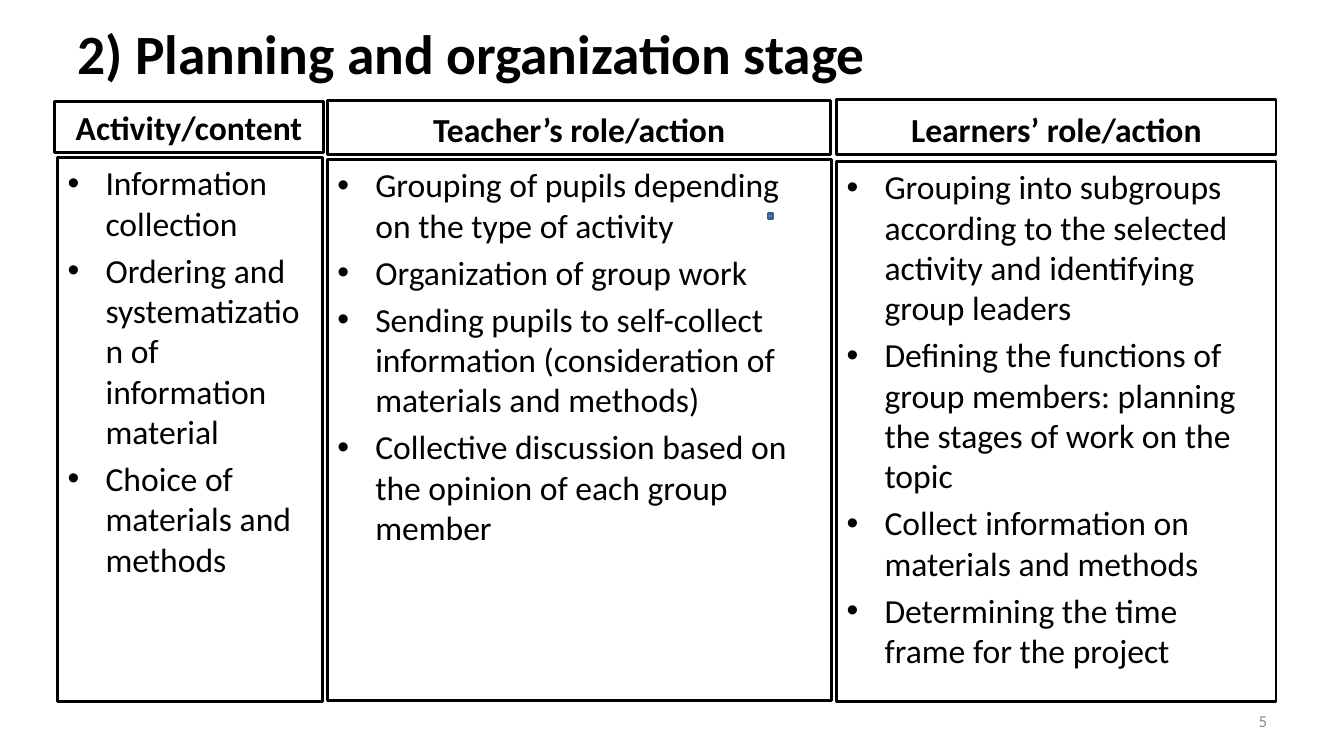
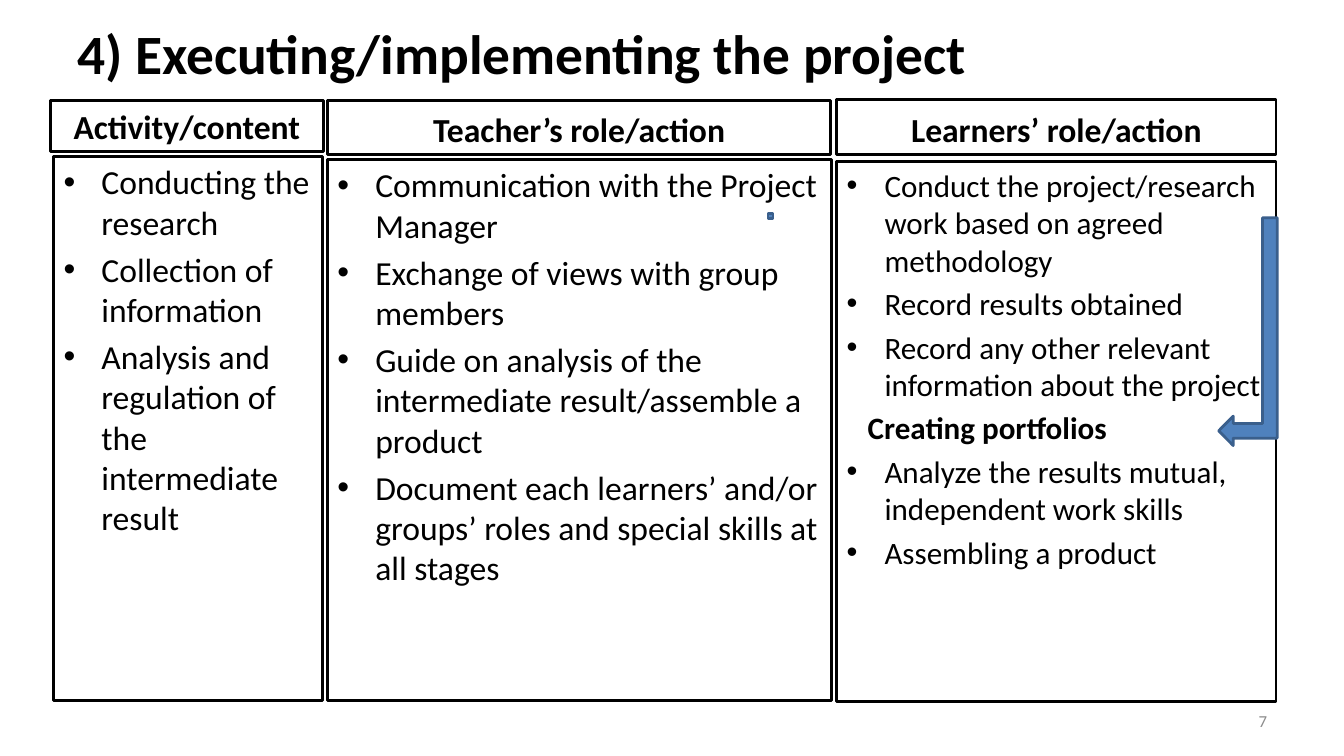
from dataclasses import dataclass

import pptx
import pptx.dml.color
import pptx.enum.shapes
import pptx.enum.text
import pptx.oxml
import pptx.oxml.ns
import pptx.util

Pt = pptx.util.Pt
RGB = pptx.dml.color.RGBColor.from_string
SHAPE = pptx.enum.shapes.MSO_SHAPE
ALIGN = pptx.enum.text.PP_ALIGN
ANCHOR = pptx.enum.text.MSO_ANCHOR


@dataclass(frozen=True)
class Theme:
    font: str = "Calibri"
    black: str = "000000"
    white: str = "FFFFFF"
    gray: str = "8C8C8C"
    accent: str = "4F81BD"
    accent_line: str = "3A5F8C"
    title: float = 39.6
    text: float = 24
    compact: float = 22.2
    number: float = 12
    line: float = 2
    indent: float = 27
    subhead_indent: float = 15


@dataclass(frozen=True)
class Subhead:
    text: str


@dataclass(frozen=True)
class Column:
    """Heading, its placeholder indexes (if any), and both boxes as (x, y, w, h)."""
    heading: str
    placeholders: tuple
    head_box: tuple
    list_box: tuple


THEME = Theme()
SLIDE_SIZE = (960, 540)
TITLE_BOX = (48, 9.4, 864, 56.2)
NUMBER_BOX = (688.3, 500.4, 223.9, 28.8)
MARKER_BOX = (548.6, 152.6, 3.6, 3.6)
ARROW_BOX = (810, 216, 162.7, 41.8)
FIRST_RIGHT = 231

TEACHER = Column("Teacher’s role/action", (None, None),
                 (234, 72, 359.5, 38.2), (234, 113.8, 360, 386.6))
LEARNERS = Column("Learners’ role/action", (3, 4),
                  (597.6, 71.3, 313.9, 38.9), (597.6, 115.2, 313.9, 385.9))

STAGES = [
    {
        "title": "2) Planning and organization stage",
        "number": "5",
        "corner": (39, 72.7),
        "lists": [
            ["Information collection",
             "Ordering and systematization of information material",
             "Choice of materials and methods"],
            ["Grouping of pupils depending on the type of activity",
             "Organization of group work",
             "Sending pupils to self-collect information "
             "(consideration of materials and methods)",
             "Collective discussion based on the opinion of each group member"],
            ["Grouping into subgroups according to the selected activity "
             "and identifying group leaders",
             "Defining the functions of group members: planning the stages "
             "of work on the topic",
             "Collect information on materials and methods",
             "Determining the time frame for the project"],
        ],
        "sizes": (THEME.text, THEME.text, THEME.text),
        "arrow": False,
    },
    {
        "title": "4) Executing/implementing the project",
        "number": "7",
        "corner": (36, 72),
        "lists": [
            ["Conducting the research",
             "Collection of information",
             "Analysis and regulation of the intermediate result"],
            ["Communication with the Project Manager",
             "Exchange of views with group members",
             "Guide on analysis of the intermediate result/assemble a product",
             "Document each learners’ and/or groups’ roles and special skills "
             "at all stages"],
            ["Conduct the project/research work based on agreed methodology",
             "Record results obtained",
             "Record any other relevant information about the project",
             Subhead("Creating portfolios"),
             "Analyze the results mutual, independent work skills",
             "Assembling a product"],
        ],
        "sizes": (THEME.text, THEME.text, THEME.compact),
        "arrow": True,
    },
]


def place(s, box):
    for name, value in zip(("left", "top", "width", "height"), box):
        setattr(s, name, Pt(value))


def paint(s, fill, line):
    s.shadow.inherit = False
    s.fill.solid()
    s.fill.fore_color.rgb = RGB(fill)
    s.line.color.rgb = RGB(line)
    s.line.width = Pt(THEME.line)


def set_frame(s, anchor):
    tf = s.text_frame
    settings = {"word_wrap": True, "vertical_anchor": anchor,
                "auto_size": pptx.enum.text.MSO_AUTO_SIZE.NONE}
    for name, value in settings.items():
        setattr(tf, name, value)
    return tf


def write(p, text, size, bold=False, color=THEME.black, align=ALIGN.LEFT):
    p.alignment = align
    r = p.add_run()
    r.text = text
    for name, value in {"name": THEME.font, "size": Pt(size), "bold": bold}.items():
        setattr(r.font, name, value)
    r.font.color.rgb = RGB(color)


def set_bullet(p, char, margin, hanging):
    """Give the paragraph a bullet character, or none, and its indents."""
    pPr = p._p.get_or_add_pPr()
    pPr.set("marL", str(Pt(margin)))
    pPr.set("indent", str(Pt(-hanging)))
    if char:
        font = pptx.oxml.parse_xml(
            f'<a:buFont {pptx.oxml.ns.nsdecls("a")} typeface="Arial"/>')
        bullet = pptx.oxml.parse_xml(
            f'<a:buChar {pptx.oxml.ns.nsdecls("a")} char="{char}"/>')
        pPr.extend([font, bullet])
    else:
        pPr.append(pptx.oxml.parse_xml(f'<a:buNone {pptx.oxml.ns.nsdecls("a")}/>'))


def add_box(slide, idx, box):
    """Outline the placeholder with this index, or a new rectangle if None."""
    if idx is None:
        s = slide.shapes.add_shape(SHAPE.RECTANGLE, *map(Pt, box))
    else:
        s = slide.placeholders[idx]
        place(s, box)
    paint(s, THEME.white, THEME.black)
    return s


def add_heading(slide, idx, box, text):
    tf = set_frame(add_box(slide, idx, box), ANCHOR.BOTTOM)
    p = tf.paragraphs[0]
    write(p, text, THEME.text, bold=True, align=ALIGN.CENTER)
    set_bullet(p, None, 0, 0)


def add_list(slide, idx, box, items, size):
    tf = set_frame(add_box(slide, idx, box), ANCHOR.TOP)
    for i, item in enumerate(items):
        p = tf.add_paragraph() if i else tf.paragraphs[0]
        p.space_before = Pt(size * 0.2)
        if isinstance(item, Subhead):
            write(p, item.text, size, bold=True)
            set_bullet(p, None, THEME.subhead_indent, 0)
        else:
            write(p, item, size)
            set_bullet(p, "•", THEME.indent, THEME.indent)


def add_title(slide, text):
    s = slide.shapes.title
    place(s, TITLE_BOX)
    write(set_frame(s, ANCHOR.MIDDLE).paragraphs[0], text, THEME.title, bold=True)


def add_number(slide, text):
    s = slide.shapes.add_textbox(*map(Pt, NUMBER_BOX))
    write(set_frame(s, ANCHOR.MIDDLE).paragraphs[0], text, THEME.number,
          color=THEME.gray, align=ALIGN.RIGHT)


def add_accent(slide, kind, box):
    s = slide.shapes.add_shape(kind, *map(Pt, box))
    paint(s, THEME.accent, THEME.accent_line)
    return s


def add_arrow(slide):
    s = add_accent(slide, SHAPE.BENT_UP_ARROW, ARROW_BOX)
    s.rotation = 270
    s._element.spPr.xfrm.set("flipH", "1")


def activity_column(x, y):
    """First column: its left edge varies, its right edge stays aligned."""
    list_x = x + 2.2
    return Column("Activity/content", (1, 2),
                  (x, y, FIRST_RIGHT - x, 36),
                  (list_x, y + 39.6, FIRST_RIGHT - 0.6 - list_x, 388.8))


def add_stage(prs, stage):
    slide = prs.slides.add_slide(prs.slide_layouts.get_by_name("Comparison"))
    add_title(slide, stage["title"])
    columns = (activity_column(*stage["corner"]), TEACHER, LEARNERS)
    for column, items, size in zip(columns, stage["lists"], stage["sizes"]):
        head_idx, list_idx = column.placeholders
        add_heading(slide, head_idx, column.head_box, column.heading)
        add_list(slide, list_idx, column.list_box, items, size)
    add_number(slide, stage["number"])
    add_accent(slide, SHAPE.RECTANGLE, MARKER_BOX)
    if stage["arrow"]:
        add_arrow(slide)


def main():
    prs = pptx.Presentation()
    prs.slide_width, prs.slide_height = map(Pt, SLIDE_SIZE)
    for stage in STAGES:
        add_stage(prs, stage)
    prs.save("out.pptx")


if __name__ == "__main__":
    main()
